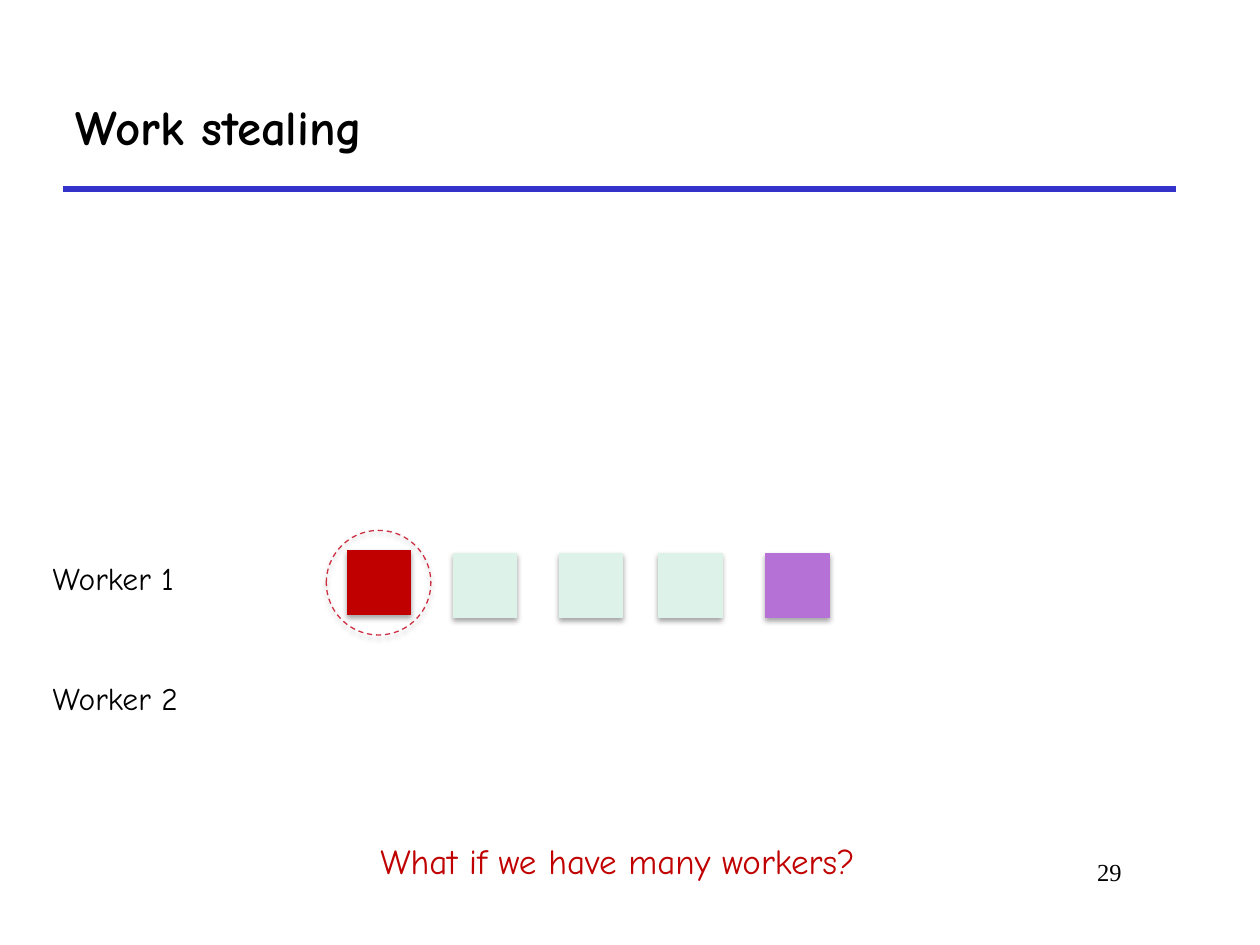
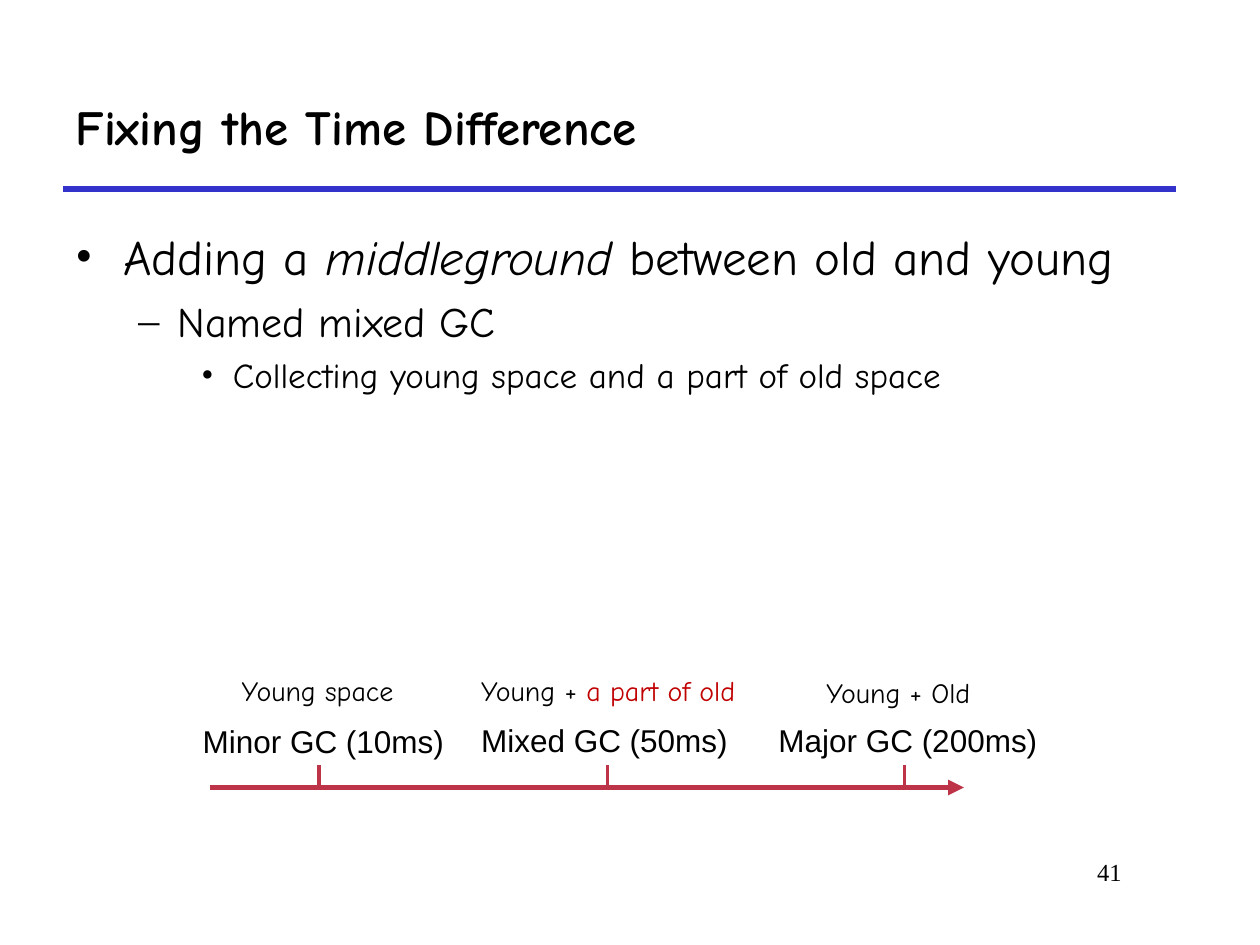
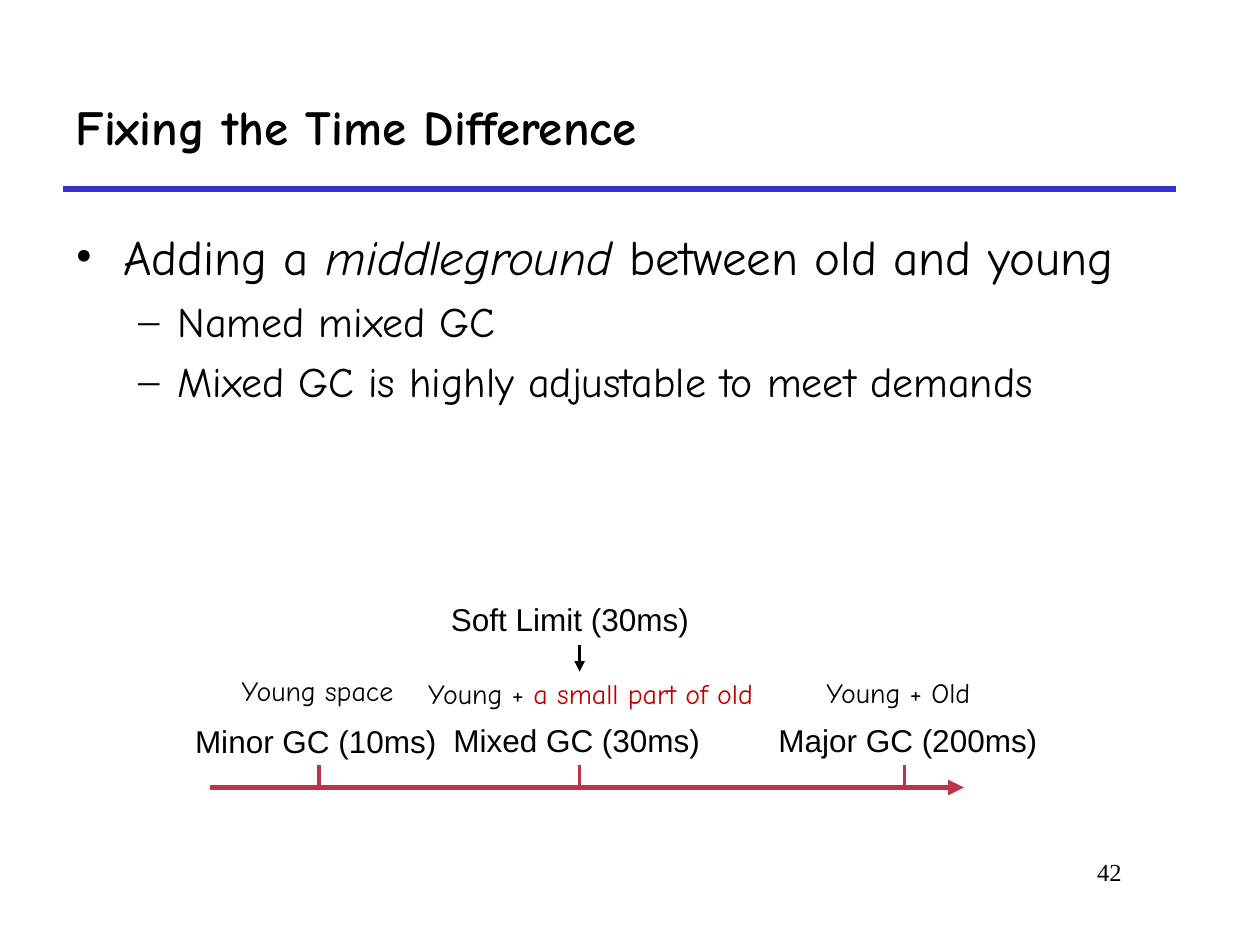
from dataclasses import dataclass

from lxml.etree import SubElement
from pptx import Presentation
from pptx.dml.color import RGBColor
from pptx.enum.dml import MSO_LINE
from pptx.enum.shapes import MSO_CONNECTOR, MSO_SHAPE
from pptx.enum.text import MSO_ANCHOR, MSO_AUTO_SIZE, PP_ALIGN
from pptx.oxml.ns import qn
from pptx.util import Inches, Pt


@dataclass(frozen=True)
class Theme:
    hand_font: str = "Comic Neue"
    label_font: str = "Arial"
    number_font: str = "Times New Roman"
    black: RGBColor = RGBColor(0x00, 0x00, 0x00)
    rule: RGBColor = RGBColor(0x33, 0x33, 0xCC)
    accent: RGBColor = RGBColor(0xC0, 0x00, 0x00)
    axis: RGBColor = RGBColor(0xBD, 0x33, 0x47)
    ring: RGBColor = RGBColor(0xCD, 0x30, 0x42)
    waiting_task: RGBColor = RGBColor(0xDD, 0xF3, 0xEA)
    last_task: RGBColor = RGBColor(0xB5, 0x71, 0xD5)
    title_size: int = 28
    level_sizes: tuple = (28, 24, 20)
    question_size: int = 20
    label_size: int = 18
    scope_size: int = 16
    number_size: int = 14


THEME = Theme()
LEVELS = (("•", 0.38, -0.38), ("–", 0.81, -0.31), ("•", 1.25, -0.25))
MIDDLEGROUND_POINTS = (
    (0, [("Adding a ", {}), ("middleground", {"italic": True}), (" between old and young", {})]),
    (1, [("Named mixed GC", {})]),
)


def set_attributes(target, values):
    for name, value in values.items():
        setattr(target, name, value)


def format_font(font, name, size, color=THEME.black, **extra):
    set_attributes(font, {"name": name, "size": Pt(size), **extra})
    font.color.rgb = color


def add_label(slide, left, top, width, height, runs, font_name=THEME.hand_font, size=THEME.label_size):
    box = slide.shapes.add_textbox(Inches(left), Inches(top), Inches(width), Inches(height))
    set_attributes(box.text_frame, {"word_wrap": False, "auto_size": MSO_AUTO_SIZE.SHAPE_TO_FIT_TEXT})
    for text, color in runs:
        run = box.text_frame.paragraphs[0].add_run()
        run.text = text
        format_font(run.font, font_name, size, color)


def add_line(slide, start, end, color, width, arrow=False):
    points = [Inches(value) for value in (*start, *end)]
    connector = slide.shapes.add_connector(MSO_CONNECTOR.STRAIGHT, *points)
    connector.line.color.rgb = color
    connector.line.width = Pt(width)
    if arrow:
        SubElement(connector.line._get_or_add_ln(), qn("a:tailEnd"), type="triangle")
    SubElement(connector._element.spPr, qn("a:effectLst"))


def add_shadow(shape):
    shape.shadow.inherit = False
    effects = shape._element.spPr.find(qn("a:effectLst"))
    values = {"blurRad": Pt(3.1), "dist": Pt(1.8), "dir": 90 * 60000, "rotWithShape": 0}
    shadow = SubElement(effects, qn("a:outerShdw"), {name: str(value) for name, value in values.items()})
    color = SubElement(shadow, qn("a:srgbClr"), val="000000")
    SubElement(color, qn("a:alpha"), val="35000")


def add_task(slide, left, top, color):
    task = slide.shapes.add_shape(MSO_SHAPE.RECTANGLE, Inches(left), Inches(top), Inches(0.5), Inches(0.51))
    task.fill.solid()
    task.fill.fore_color.rgb = color
    task.line.color.rgb = color
    task.line.width = Pt(0.75)
    add_shadow(task)


def add_ring(slide, left, top, diameter):
    ring = slide.shapes.add_shape(
        MSO_SHAPE.OVAL, Inches(left), Inches(top), Inches(diameter), Inches(diameter)
    )
    ring.fill.background()
    ring.line.color.rgb = THEME.ring
    set_attributes(ring.line, {"width": Pt(0.75), "dash_style": MSO_LINE.DASH})
    add_shadow(ring)


def add_bullets(slide, points):
    box = slide.shapes.add_textbox(Inches(0.5), Inches(1.75), Inches(9.08), Inches(4.83))
    frame = box.text_frame
    frame.word_wrap = True
    for index, (level, runs) in enumerate(points):
        paragraph = frame.add_paragraph() if index else frame.paragraphs[0]
        bullet, margin, indent = LEVELS[level]
        size = THEME.level_sizes[level]
        paragraph.level = level
        paragraph.space_before = Pt(round(size * 0.23, 1) if index else 0)
        properties = paragraph._element.get_or_add_pPr()
        properties.set("marL", str(Inches(margin)))
        properties.set("indent", str(Inches(indent)))
        SubElement(properties, qn("a:buFont"), typeface=THEME.number_font)
        SubElement(properties, qn("a:buChar"), char=bullet)
        for text, extra in runs:
            run = paragraph.add_run()
            run.text = text
            format_font(run.font, THEME.hand_font, size, **extra)


def add_page_number(slide, number):
    box = slide.shapes.add_textbox(Inches(6.92), Inches(6.75), Inches(2.08), Inches(0.5))
    box.text_frame.word_wrap = True
    paragraph = box.text_frame.paragraphs[0]
    paragraph.text = str(number)
    paragraph.alignment = PP_ALIGN.RIGHT
    format_font(paragraph.runs[0].font, THEME.number_font, THEME.number_size)


def add_titled_slide(presentation, text, number):
    slide = presentation.slides.add_slide(presentation.slide_layouts[5])
    add_line(slide, (0.5, 1.5), (9.33, 1.5), THEME.rule, 3)
    title = slide.shapes.title
    place = {"left": 0.5, "top": 0.5, "width": 8.83, "height": 1}
    set_attributes(title, {name: Inches(value) for name, value in place.items()})
    frame = title.text_frame
    frame.text = text
    set_attributes(frame, {"auto_size": MSO_AUTO_SIZE.NONE, "vertical_anchor": MSO_ANCHOR.MIDDLE})
    paragraph = frame.paragraphs[0]
    paragraph.alignment = PP_ALIGN.LEFT
    format_font(paragraph.runs[0].font, THEME.hand_font, THEME.title_size, bold=True)
    add_page_number(slide, number)
    return slide


def add_pause_timeline(slide, minor_left, mixed_tick, mixed_pause, mixed_scope, mixed_scope_place):
    add_line(slide, (1.67, 6.25), (7.65, 6.25), THEME.axis, 3, arrow=True)
    for tick in (2.53, mixed_tick, 7.18):
        add_line(slide, (tick, 6.07), (tick, 6.25), THEME.axis, 2)
    collections = (
        (minor_left, 5.68, 2.2, "Minor GC (10ms)"),
        (mixed_tick - 1.1, 5.67, 2.3, f"Mixed GC ({mixed_pause})"),
        (6.08, 5.67, 2.43, "Major GC (200ms)"),
    )
    for left, top, width, text in collections:
        add_label(slide, left, top, width, 0.4, [(text, THEME.black)], THEME.label_font)
    scopes = (
        ((1.82, 5.3, 1.46), [("Young space", THEME.black)]),
        (mixed_scope_place, [("Young + ", THEME.black), (mixed_scope, THEME.accent)]),
        ((6.46, 5.31, 1.43), [("Young + Old", THEME.black)]),
    )
    for place, runs in scopes:
        add_label(slide, *place, 0.37, runs, size=THEME.scope_size)


def build_work_stealing(presentation):
    slide = add_titled_slide(presentation, "Work stealing", 29)
    add_task(slide, 2.76, 4.37, THEME.accent)
    add_ring(slide, 2.59, 4.21, 0.83)
    for left in (3.6, 4.44, 5.23):
        add_task(slide, left, 4.39, THEME.waiting_task)
    add_task(slide, 6.08, 4.39, THEME.last_task)
    for worker, top, width in ((1, 4.39, 1.3), (2, 5.34, 1.34)):
        add_label(slide, 0.32, top, width, 0.4, [(f"Worker {worker}", THEME.black)])
    question = [("What if we have many workers?", THEME.accent)]
    add_label(slide, 2.92, 6.61, 4.36, 0.44, question, size=THEME.question_size)


def build_time_difference(presentation, number, last_point):
    slide = add_titled_slide(presentation, "Fixing the Time Difference", number)
    level, text = last_point
    add_bullets(slide, (*MIDDLEGROUND_POINTS, (level, [(text, {})])))
    return slide


def build_mixed_collection(presentation):
    point = (2, "Collecting young space and a part of old space")
    slide = build_time_difference(presentation, 41, point)
    add_pause_timeline(slide, 1.51, 4.82, "50ms", "a part of old", (3.72, 5.3, 2.36))


def build_soft_limit(presentation):
    point = (1, "Mixed GC is highly adjustable to meet demands")
    slide = build_time_difference(presentation, 42, point)
    add_pause_timeline(slide, 1.45, 4.6, "30ms", "a small part of old", (3.3, 5.32, 2.95))
    add_line(slide, (4.6, 5.12), (4.6, 5.33), THEME.black, 2, arrow=True)
    add_label(slide, 3.48, 4.71, 2.32, 0.4, [("Soft Limit (30ms)", THEME.black)], THEME.label_font)


def main():
    presentation = Presentation()
    set_attributes(presentation, {"slide_width": Inches(10), "slide_height": Inches(7.5)})
    build_work_stealing(presentation)
    build_mixed_collection(presentation)
    build_soft_limit(presentation)
    presentation.save("out.pptx")


if __name__ == "__main__":
    main()
